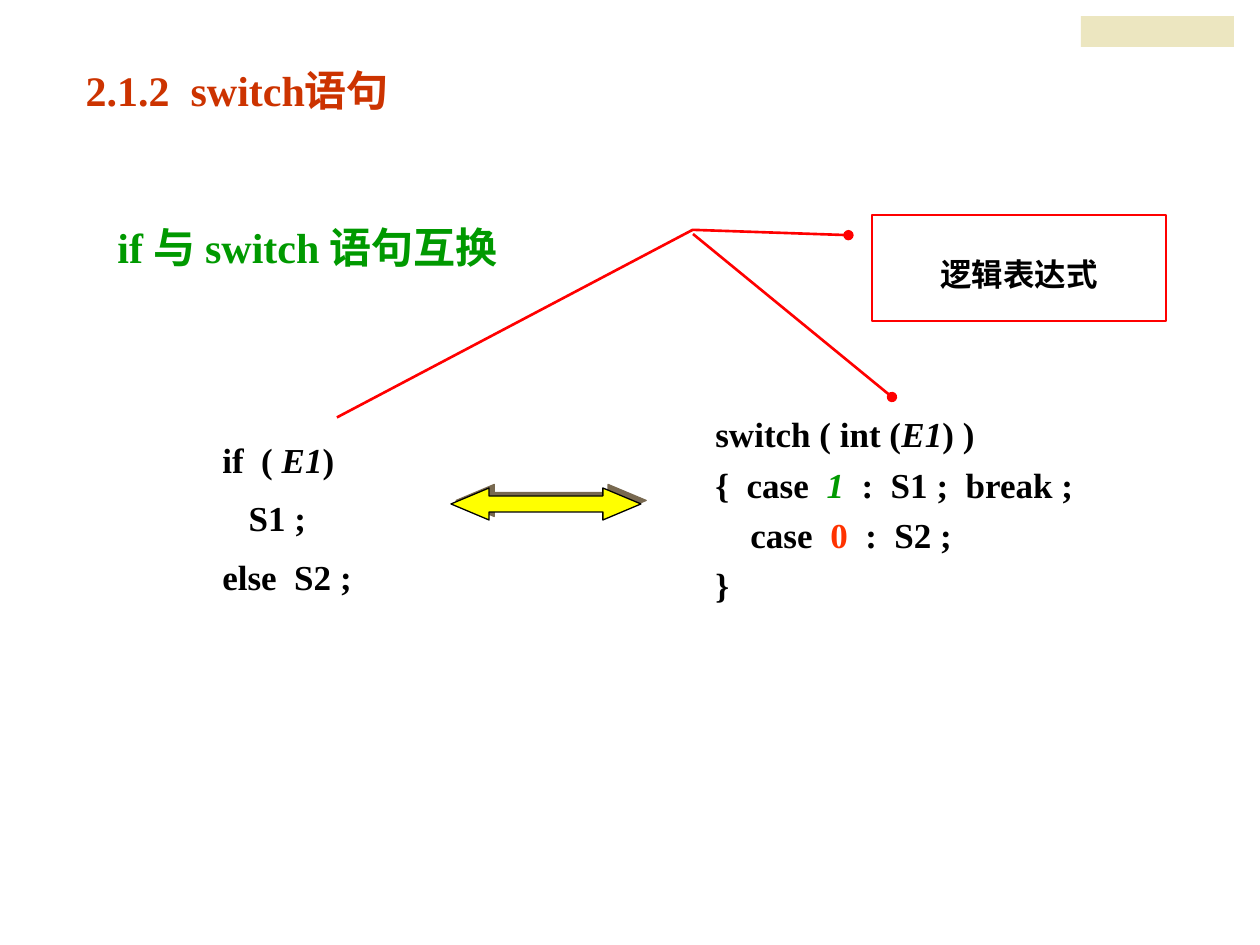
from lxml import etree
from pptx import Presentation
from pptx.dml.color import RGBColor
from pptx.enum.shapes import MSO_CONNECTOR, MSO_SHAPE
from pptx.enum.text import MSO_ANCHOR, MSO_AUTO_SIZE, PP_ALIGN
from pptx.oxml.ns import qn
from pptx.util import Emu, Pt

EMU_PER_PX = 914400 / 126
LEFT, CENTER = PP_ALIGN.LEFT, PP_ALIGN.CENTER
MIDDLE = MSO_ANCHOR.MIDDLE
FIT_SHAPE, NO_FIT = MSO_AUTO_SIZE.SHAPE_TO_FIT_TEXT, MSO_AUTO_SIZE.NONE
RECTANGLE = MSO_SHAPE.RECTANGLE
DOUBLE_ARROW = MSO_SHAPE.LEFT_RIGHT_ARROW
CALLOUT = MSO_SHAPE.LINE_CALLOUT_2
STRAIGHT = MSO_CONNECTOR.STRAIGHT

LATIN, CJK = "Times New Roman", "Noto Sans CJK SC"
BLACK, WHITE, RED, GREEN = "000000", "FFFFFF", "FF0000", "009900"
ORANGE, RUST, YELLOW, SAND, SHADE = "FF3300", "CC3300", "FFFF00", "ECE6C0", "786950"


def px(*lengths):
    return [Emu(round(length * EMU_PER_PX)) for length in lengths]


def rgb(color):
    return RGBColor.from_string(color)


class SlideBuilder:
    def __init__(self, slide):
        self.slide = slide

    def fill_text(self, frame, lines, size, color=BLACK, spacing=1.0, align=LEFT):
        """Fill a frame; each line is a list of (text, overrides) spans."""
        frame.vertical_anchor = MIDDLE
        for index, spans in enumerate(lines):
            paragraph = frame.add_paragraph() if index else frame.paragraphs[0]
            paragraph.alignment = align
            paragraph.line_spacing = spacing
            font = paragraph.font
            font.name, font.size, font.bold = LATIN, Pt(size), True
            font.color.rgb = rgb(color)
            for text, style in spans:
                run = paragraph.add_run()
                run.text = text
                if "color" in style:
                    run.font.color.rgb = rgb(style["color"])
                if "italic" in style:
                    run.font.italic = style["italic"]
                if "font" in style:
                    run.font.name = style["font"]

    def title(self, box, text, size, color):
        heading = self.slide.shapes.title
        heading.left, heading.top, heading.width, heading.height = px(*box)
        frame = heading.text_frame
        frame.word_wrap, frame.auto_size = True, NO_FIT
        self.fill_text(frame, [[(text, {})]], size, color)

    def text(self, box, lines, size, wrap=True, **style):
        frame = self.slide.shapes.add_textbox(*px(*box)).text_frame
        frame.word_wrap, frame.auto_size = wrap, FIT_SHAPE
        self.fill_text(frame, lines, size, **style)

    def shape(self, kind, box, fill, line=None, width=0.75, adjustments=()):
        shape = self.slide.shapes.add_shape(kind, *px(*box))
        shape.shadow.inherit = False
        shape.fill.solid()
        shape.fill.fore_color.rgb = rgb(fill)
        if line:
            shape.line.color.rgb = rgb(line)
            shape.line.width = Pt(width)
        else:
            shape.line.fill.background()
        for index, value in enumerate(adjustments):
            shape.adjustments[index] = value
        return shape

    def cast_shadow(self, shape, color, distance, degrees):
        effects = shape._element.spPr.find(qn("a:effectLst"))
        shadow = etree.SubElement(effects, qn("a:outerShdw"), dist=str(Pt(distance)),
                                  dir=str(degrees * 60000), algn="ctr", rotWithShape="0")
        etree.SubElement(shadow, qn("a:srgbClr"), val=color)

    def dot_end(self, line, end):
        etree.SubElement(line._get_or_add_ln(), qn(f"a:{end}"), type="oval")

    def pointer(self, start, finish, color, width):
        pointer = self.slide.shapes.add_connector(STRAIGHT, *px(*start, *finish))
        pointer.line.color.rgb = rgb(color)
        pointer.line.width = Pt(width)
        self.dot_end(pointer.line, "tailEnd")
        etree.SubElement(pointer._element.spPr, qn("a:effectLst"))


def main():
    deck = Presentation()
    deck.slide_width, deck.slide_height = px(1260, 945)
    page = SlideBuilder(deck.slides.add_slide(deck.slide_layouts[5]))

    # Headings
    page.title((73, 48, 777, 84), "2.1.2  switch语句", 24, RUST)
    page.text((105, 215, 525, 63), [[
        ("if ", {}), ("与 ", {"font": CJK}),
        ("switch ", {}), ("语句互换", {"font": CJK}),
    ]], 24, color=GREEN)

    # The two equivalent statements
    expression = ("E1", {"italic": True})
    page.text((703, 398, 451, 214), [
        [("switch ( int (", {}), expression, (") )", {})],
        [("{  case  ", {}), ("1 ", {"color": GREEN, "italic": True}),
         (" :  S1 ;  break ;", {})],
        [("    case  ", {}), ("0", {"color": ORANGE}), ("  :  S2 ;", {})],
        [("}", {})],
    ], 20, spacing=1.2)
    page.text((210, 415, 164, 189), [
        [("if  ( ", {}), expression, (")", {})],
        [("   S1 ;", {})],
        [("else  S2 ;", {})],
    ], 20, wrap=False, spacing=1.4)

    # Exchange arrow
    exchange = page.shape(DOUBLE_ARROW, (451, 488, 190, 32), YELLOW, BLACK,
                          adjustments=(0.5, 1.19))
    page.cast_shadow(exchange, SHADE, 3.6, 326)

    # Callout pointing at both conditions
    callout = page.shape(CALLOUT, (872, 215, 294, 106), WHITE, RED, 1.5,
                         adjustments=(0.19, -0.08, 0.14, -0.61, 1.91, -1.82))
    page.dot_end(callout.line, "headEnd")
    page.fill_text(callout.text_frame, [[("逻辑表达式", {})]], 18, spacing=1.3, align=CENTER)
    page.pointer((693, 234), (892, 397), RED, 1.5)

    # Corner tab
    page.shape(RECTANGLE, (1081, 16, 153, 31), SAND)

    deck.save("out.pptx")


if __name__ == "__main__":
    main()
